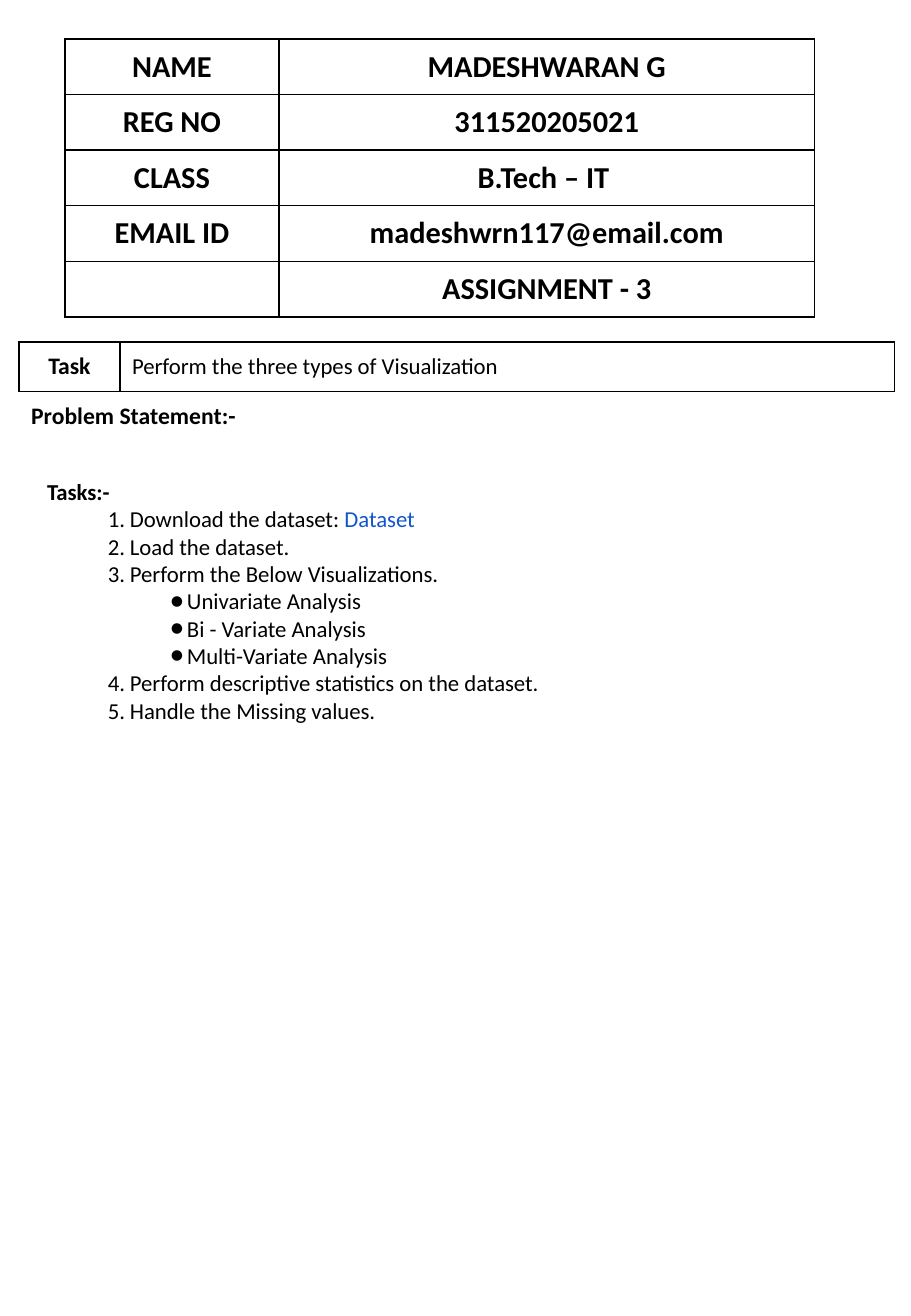
from lxml.etree import SubElement
from pptx import Presentation
from pptx.dml.color import RGBColor
from pptx.enum.text import MSO_ANCHOR, MSO_AUTO_SIZE, PP_ALIGN
from pptx.oxml.ns import qn
from pptx.util import Emu, Inches, Pt

BLACK = RGBColor(0x00, 0x00, 0x00)
LINK_BLUE = RGBColor(0x11, 0x55, 0xCD)
SCALE = Inches(1) / 121.5


def px(n):
    return Emu(round(n * SCALE))


def apply(obj, values):
    for name, value in values.items():
        setattr(obj, name, value)


class Page:
    font = "Calibri"
    frame = {"word_wrap": True, "auto_size": MSO_AUTO_SIZE.NONE,
             "vertical_anchor": MSO_ANCHOR.TOP, "margin_left": 0,
             "margin_right": 0, "margin_top": 0, "margin_bottom": 0}
    para = {"alignment": PP_ALIGN.LEFT, "line_spacing": 1.0,
            "space_before": Pt(0), "space_after": Pt(0)}
    plain = {"first_row": False, "horz_banding": False}

    def __init__(self, prs):
        self.s = prs.slides.add_slide(prs.slide_layouts[1])

    def run(self, p, text, size, bold=False, color=BLACK):
        r = p.add_run()
        r.text = text
        apply(r.font, {"name": self.font, "size": Pt(size), "bold": bold})
        r.font.color.rgb = color

    def place(self, sp, left, top, width, height):
        apply(sp, {"left": px(left), "top": px(top),
                   "width": px(width), "height": px(height)})
        apply(sp.text_frame, self.frame)
        return sp.text_frame

    def title(self, box, text, size):
        p = self.place(self.s.shapes.title, *box).paragraphs[0]
        apply(p, self.para)
        self.run(p, text, size, bold=True)

    def items(self, box, rows, size):
        tf = self.place(self.s.placeholders[1], *box)
        for i, (level, start, runs) in enumerate(rows):
            p = tf.add_paragraph() if i else tf.paragraphs[0]
            apply(p, self.para | {"level": level})
            self.bullet(p, level, start)
            for text, color in runs:
                self.run(p, text, size, color=color)

    def bullet(self, p, level, start):
        margin, hang = [(83, 22), (140, 17)][level]
        pPr = p._p.get_or_add_pPr()
        pPr.set("marL", str(px(margin)))
        pPr.set("indent", str(-px(hang)))
        SubElement(pPr, qn("a:buFont"), typeface=self.font)
        if level:
            SubElement(pPr, qn("a:buChar"), char="●")
        else:
            SubElement(pPr, qn("a:buAutoNum"), type="arabicPeriod", startAt=str(start))

    def table(self, left, top, cols, height, rows):
        shape = self.s.shapes.add_table(len(rows), len(cols), px(left), px(top),
                                        px(sum(cols)), px(height))
        table = shape.table
        apply(table, self.plain)
        for column, width in zip(table.columns, cols):
            column.width = px(width)
        for row in table.rows:
            row.height = px(height / len(rows))
        for i, texts in enumerate(rows):
            for j, text in enumerate(texts):
                self.cell(table.cell(i, j), text)
        return table

    def cell(self, cell, text, size=18, bold=True, align=PP_ALIGN.CENTER, sides="LRTB"):
        cell.vertical_anchor = MSO_ANCHOR.MIDDLE
        tcPr = cell._tc.get_or_add_tcPr()
        for old in list(tcPr):
            tcPr.remove(old)
        for side in "LRTB":
            ln = SubElement(tcPr, qn(f"a:ln{side}"), w=str(Pt(1)))
            if side in sides:
                fill = SubElement(ln, qn("a:solidFill"))
                SubElement(fill, qn("a:srgbClr"), val=str(BLACK))
            else:
                SubElement(ln, qn("a:noFill"))
        cell.fill.background()
        p = cell.text_frame.paragraphs[0]
        p.clear()
        p.alignment = align
        if text:
            self.run(p, text, size, bold)


prs = Presentation()
apply(prs, {"slide_width": Inches(7.5), "slide_height": Inches(10.83)})
page = Page(prs)

page.table(65, 39, [214, 536], 278, [
    ("NAME", "MADESHWARAN G"),
    ("REG NO", "311520205021"),
    ("CLASS", "B.Tech – IT "),
    ("EMAIL ID", "madeshwrn117@email.com"),
    ("", "ASSIGNMENT - 3"),
])

task = page.table(19, 342, [101, 775], 99, [("", ""), ("", "")])
task.cell(1, 0).merge(task.cell(1, 1))
page.cell(task.cell(0, 0), "Task", 14)
page.cell(task.cell(0, 1), "Perform the three types of Visualization", 13.5,
          bold=False, align=PP_ALIGN.JUSTIFY)
page.cell(task.cell(1, 0), "Problem Statement:-", 14, align=PP_ALIGN.LEFT, sides="T")
page.cell(task.cell(1, 1), "", sides="T")

page.title((47, 478, 836, 27), "Tasks:-", 13.5)
page.items((47, 505, 836, 222), [
    (0, 1, [("Download the dataset: ", BLACK), ("Dataset", LINK_BLUE)]),
    (0, 1, [("Load the dataset.", BLACK)]),
    (0, 1, [("Perform the Below Visualizations.", BLACK)]),
    (1, 1, [("Univariate Analysis", BLACK)]),
    (1, 1, [("Bi - Variate Analysis", BLACK)]),
    (1, 1, [("Multi-Variate Analysis", BLACK)]),
    (0, 4, [("Perform descriptive statistics on the dataset.", BLACK)]),
    (0, 4, [("Handle the Missing values.", BLACK)]),
], 13.5)

prs.save("out.pptx")
